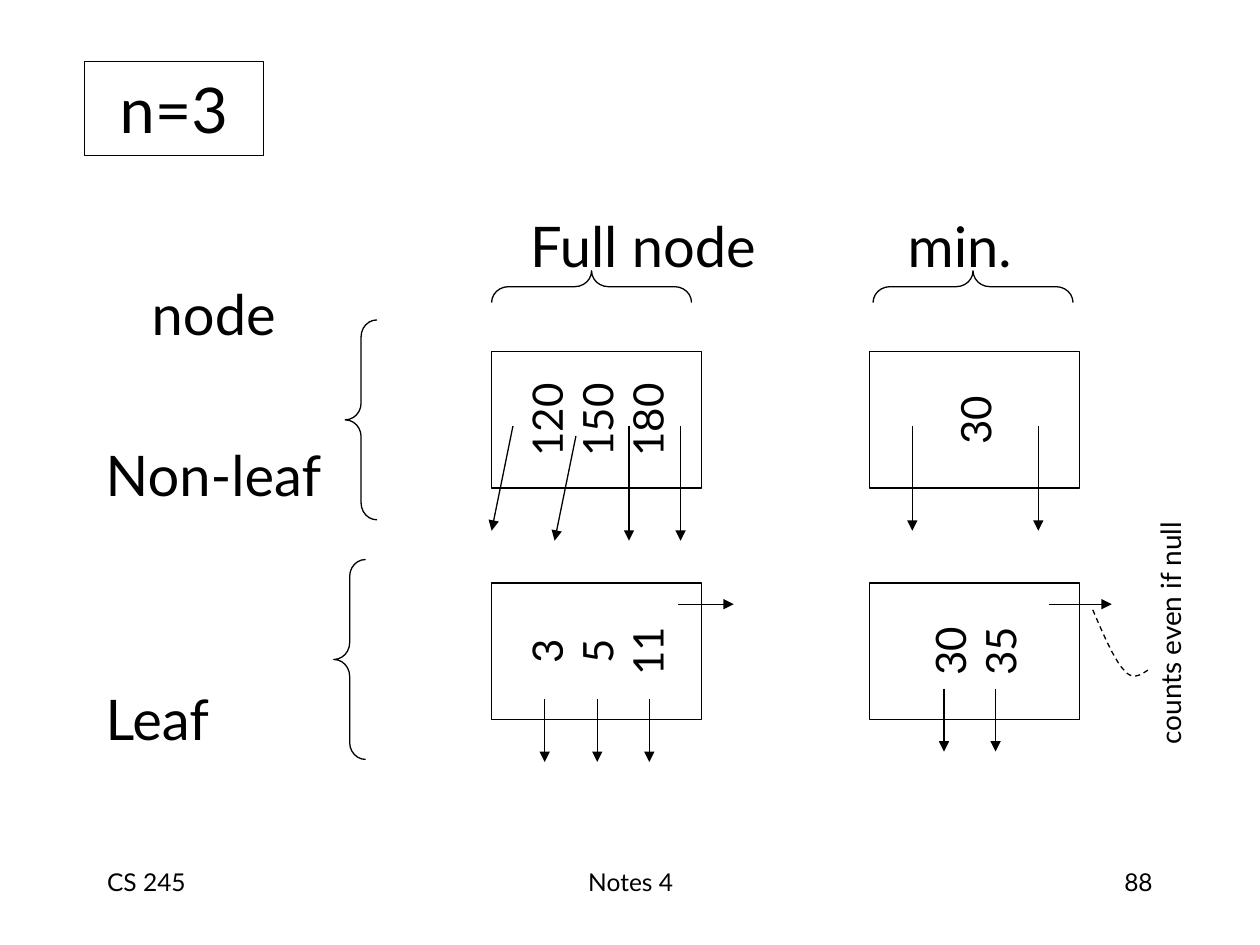
from lxml.etree import SubElement
from pptx import Presentation
from pptx.dml.color import RGBColor
from pptx.enum.dml import MSO_LINE
from pptx.enum.shapes import MSO_CONNECTOR, MSO_SHAPE
from pptx.enum.text import MSO_ANCHOR, MSO_AUTO_SIZE, PP_ALIGN
from pptx.oxml.ns import qn
from pptx.util import Cm, Pt

FONT = "Lato"
INK, PAPER = "000000", "FFFFFF"
NODE_W, NODE_H = 4.23, 2.75
FULL_X, MIN_X = 9.91, 17.53
NON_LEAF_Y, LEAF_Y = 7.09, 11.75
BRACE_DEPTH, BRACE_SPAN = 0.64, 4.03


def color(hex_value):
    return RGBColor.from_string(hex_value)


def outline(part):
    part.line.color.rgb = color(INK)
    part.line.width = Pt(0.75)


def write(frame, lines, size, align, anchor=MSO_ANCHOR.TOP, wrap=False, inset=(0.25, 0.13)):
    frame.auto_size = MSO_AUTO_SIZE.NONE
    frame.word_wrap = wrap
    frame.vertical_anchor = anchor
    frame.margin_left = frame.margin_right = Cm(inset[0])
    frame.margin_top = frame.margin_bottom = Cm(inset[1])
    for index, line in enumerate(lines):
        paragraph = frame.add_paragraph() if index else frame.paragraphs[0]
        paragraph.alignment = align
        run = paragraph.add_run()
        run.text = line
        run.font.name = FONT
        run.font.size = Pt(size)
        run.font.color.rgb = color(INK)


def add_label(slide, box, text, size, align=PP_ALIGN.LEFT, **layout):
    label = slide.shapes.add_textbox(*map(Cm, box))
    write(label.text_frame, [text], size, align, **layout)
    return label


def add_title(slide, box):
    title = slide.shapes.title
    title.left, title.top, title.width, title.height = map(Cm, box)
    title.fill.solid()
    title.fill.fore_color.rgb = color(PAPER)
    outline(title)
    write(title.text_frame, ["n=3"], 36, PP_ALIGN.CENTER, MSO_ANCHOR.MIDDLE)


def add_arrow(slide, x1, y1, x2, y2):
    arrow = slide.shapes.add_connector(MSO_CONNECTOR.STRAIGHT, *map(Cm, (x1, y1, x2, y2)))
    outline(arrow)
    SubElement(arrow.line._get_or_add_ln(), qn("a:tailEnd"), type="triangle")
    SubElement(arrow._element.spPr, qn("a:effectLst"))


def add_node(slide, left, top, keys, pointers):
    """Node with keys turned sideways; pointers are offsets from its corner."""
    # The unturned rectangle shares its centre with the visible one
    shift = (NODE_W - NODE_H) / 2
    node = slide.shapes.add_shape(
        MSO_SHAPE.RECTANGLE, Cm(left + shift), Cm(top - shift), Cm(NODE_H), Cm(NODE_W))
    node.rotation = 270
    node.shadow.inherit = False
    node.fill.solid()
    node.fill.fore_color.rgb = color(PAPER)
    outline(node)
    write(node.text_frame, keys, 24, PP_ALIGN.CENTER, MSO_ANCHOR.MIDDLE)
    for x1, y1, x2, y2 in pointers:
        add_arrow(slide, left + x1, top + y1, left + x2, top + y2)


def add_brace(slide, left, top, pointing_up=False):
    shift = (BRACE_SPAN - BRACE_DEPTH) / 2 if pointing_up else 0
    brace = slide.shapes.add_shape(
        MSO_SHAPE.LEFT_BRACE, Cm(left + shift), Cm(top - shift), Cm(BRACE_DEPTH), Cm(BRACE_SPAN))
    brace.adjustments[0] = 0.53
    brace.rotation = 90 if pointing_up else 0
    brace.shadow.inherit = False
    brace.fill.background()
    outline(brace)


def bezier(points, steps=12):
    for step in range(1, steps + 1):
        t = step / steps
        weights = ((1 - t) ** 3, 3 * t * (1 - t) ** 2, 3 * t * t * (1 - t), t ** 3)
        yield tuple(Cm(sum(w * p[axis] for w, p in zip(weights, points))) for axis in (0, 1))


def add_null_note(slide, left, top):
    note = add_label(slide, (left, top, 5.31, 0.94), "counts even if null", 16,
                     PP_ALIGN.CENTER, anchor=MSO_ANCHOR.MIDDLE)
    note.rotation = 270
    # Dashed curve from the note to the next-leaf pointer
    curve = [(2.21, 1.22), (2.06, 1.32), (1.9, 1.43), (1.73, 1.22),
             (1.52, 1.02), (1.19, 0.21), (1.09, -0.02)]
    curve = [(left + x, top + y) for x, y in curve]
    builder = slide.shapes.build_freeform(Cm(curve[0][0]), Cm(curve[0][1]))
    builder.add_line_segments([*bezier(curve[:4]), *bezier(curve[3:])], close=False)
    tether = builder.convert_to_shape()
    tether.shadow.inherit = False
    tether.fill.background()
    outline(tether)
    tether.line.dash_style = MSO_LINE.DASH


def add_headings(slide):
    headings = [("Full node", 10.69, 4.27), ("min.", 18.3, 4.27), ("node", 3.06, 5.63),
                ("Non-leaf", 2.13, 8.89), ("Leaf", 2.13, 13.79)]
    for text, left, top in headings:
        add_label(slide, (left, top, 4.8, 1.36), text, 32, inset=(0, 0))
    for left in (FULL_X, MIN_X + 0.07):
        add_brace(slide, left, 5.46, pointing_up=True)
    add_brace(slide, 6.96, 6.45)
    add_brace(slide, 6.73, 11.28)


def add_footer(slide, top):
    footer = [("CS 245", 1.91, 5.28, PP_ALIGN.LEFT),
              ("Notes 4", 8.69, 8.05, PP_ALIGN.CENTER),
              ("88", 18.21, 5.28, PP_ALIGN.RIGHT)]
    for text, left, width, align in footer:
        add_label(slide, (left, top, width, 1.27), text, 14, align, wrap=True)


def main():
    deck = Presentation()
    deck.slide_width, deck.slide_height = Cm(25.4), Cm(19.05)
    slide = deck.slides.add_slide(deck.slide_layouts[5])

    add_title(slide, (1.7, 1.24, 3.61, 1.9))
    add_headings(slide)

    # Non-leaf nodes: one child pointer more than keys
    add_node(slide, FULL_X, NON_LEAF_Y, ["120", "150", "180"],
             [(0.43, 1.5, 0, 3.61), (1.7, 1.7, 1.27, 3.81),
              (2.77, 1.5, 2.77, 3.81), (3.81, 1.5, 3.81, 3.81)])
    add_node(slide, MIN_X, NON_LEAF_Y, ["30"],
             [(x, 1.5, x, 3.61) for x in (0.86, 3.4)])

    # Leaf nodes: a pointer for each key and one to the next leaf
    add_node(slide, FULL_X, LEAF_Y, ["3", "5", "11"],
             [(3.76, 0.43, 4.88, 0.43)] + [(x, 2.34, x, 3.61) for x in (1.07, 2.13, 3.18)])
    add_node(slide, MIN_X, LEAF_Y, ["30", "35"],
             [(3.61, 0.43, 4.88, 0.43)] + [(x, 2.13, x, 3.4) for x in (1.5, 2.54)])

    add_null_note(slide, 20.93, 12.29)
    add_footer(slide, 17.35)
    deck.save("out.pptx")


if __name__ == "__main__":
    main()
